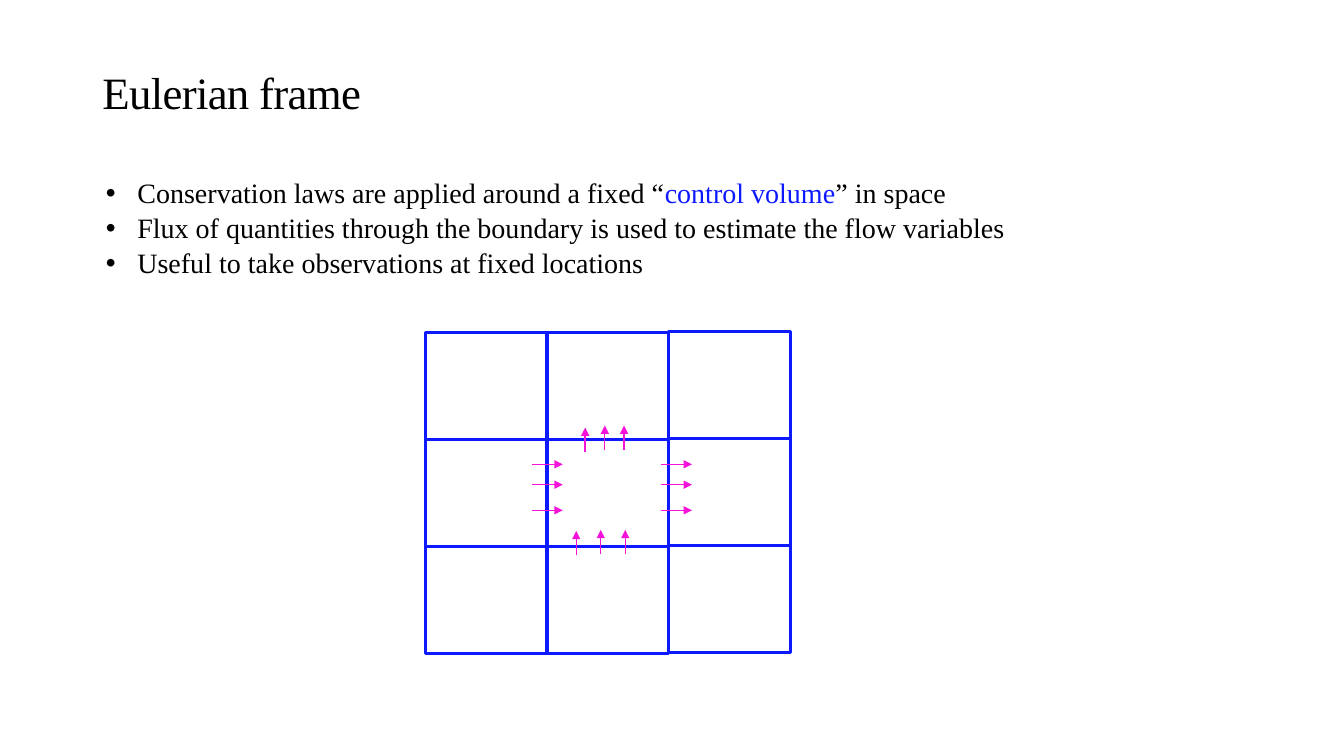
"""Build the Eulerian frame slide: bullets above a grid of cells with flux arrows."""
from lxml.etree import SubElement
from pptx import Presentation
from pptx.dml.color import RGBColor
from pptx.enum.shapes import MSO_CONNECTOR as Connector, MSO_SHAPE as Shape
from pptx.enum.text import MSO_ANCHOR as Anchor, MSO_AUTO_SIZE as AutoSize, PP_ALIGN as Align
from pptx.oxml.ns import qn
from pptx.util import Pt

COLORS = {"text": "000000", "blue": "0D19FF", "flux": "F513DA"}
FONT = "Times New Roman"


def format_span(span, size, color):
    span.font.name = FONT
    span.font.size = Pt(size)
    span.font.color.rgb = RGBColor.from_string(COLORS[color])


def add_arrow(page, x1, y1, x2, y2):
    arrow = page.shapes.add_connector(Connector.STRAIGHT, Pt(x1), Pt(y1), Pt(x2), Pt(y2))
    arrow.line.color.rgb = RGBColor.from_string(COLORS["flux"])
    arrow.line.width = Pt(1)
    SubElement(arrow.line._get_or_add_ln(), qn("a:tailEnd"), type="triangle")
    SubElement(arrow._element.spPr, qn("a:effectLst"))


deck = Presentation()
deck.slide_width, deck.slide_height = Pt(960), Pt(540)
page = deck.slides.add_slide(deck.slide_layouts[1])

title = page.shapes.title
title.left, title.top, title.width, title.height = Pt(66), Pt(28.8), Pt(828), Pt(59.8)
title.text_frame.text = "Eulerian frame"
title.text_frame.auto_size = AutoSize.NONE
title.text_frame.vertical_anchor = Anchor.BOTTOM
para = title.text_frame.paragraphs[0]
para.alignment = Align.LEFT
para.line_spacing = 0.85
format_span(para.runs[0], 32, "text")
para.runs[0].font._element.set("spc", "-50")

bullets = [
    [("Conservation laws are applied around a fixed “", "text"),
     ("control volume", "blue"), ("” in space", "text")],
    [("Flux of quantities through the boundary is used to estimate the flow variables", "text")],
    [("Useful to take observations at fixed locations", "text")],
]
body = page.placeholders[1]
body.left, body.top, body.width, body.height = Pt(68.4), Pt(121), Pt(852.5), Pt(80)
frame = body.text_frame
frame.auto_size = AutoSize.SHAPE_TO_FIT_TEXT
frame.text = "\n".join("".join(text for text, color in parts) for parts in bullets)
for para, parts in zip(frame.paragraphs, bullets):
    properties = para._p.get_or_add_pPr()
    properties.set("marL", str(Pt(22.5)))
    properties.set("indent", str(Pt(-22.5)))
    SubElement(properties, qn("a:buFont"), typeface="Arial")
    SubElement(properties, qn("a:buChar"), char="•")
    para.space_before = Pt(0)
    para.line_spacing = 1.04
    para.clear()
    for text, color in parts:
        span = para.add_run()
        span.text = text
        format_span(span, 20, color)

GRID_LEFT, GRID_TOP, CELL_WIDTH, CELL_HEIGHT = 303.8, 237.4, 87, 76.5
for row in range(3):
    for column in range(3):
        lift = 0.7 if column == 2 else 0
        cell = page.shapes.add_shape(
            Shape.RECTANGLE,
            Pt(GRID_LEFT + column * CELL_WIDTH), Pt(GRID_TOP + row * CELL_HEIGHT - lift),
            Pt(CELL_WIDTH), Pt(CELL_HEIGHT))
        cell.fill.background()
        cell.line.color.rgb = RGBColor.from_string(COLORS["blue"])
        cell.line.width = Pt(2.25)
        cell.shadow.inherit = False

ARROW_WIDTH, ARROW_HEIGHT = 22, 17.3
for x in (380, 472.3):
    for y in (331.7, 346.2, 364.5):
        add_arrow(page, x, y, x + ARROW_WIDTH, y)

upward_starts = [(411.6, 396.5), (429.1, 395.8), (446.6, 395.8),
                 (418, 322.7), (432, 321.3), (445.8, 321.3)]
for x, y in upward_starts:
    add_arrow(page, x, y, x, y - ARROW_HEIGHT)

deck.save("out.pptx")
